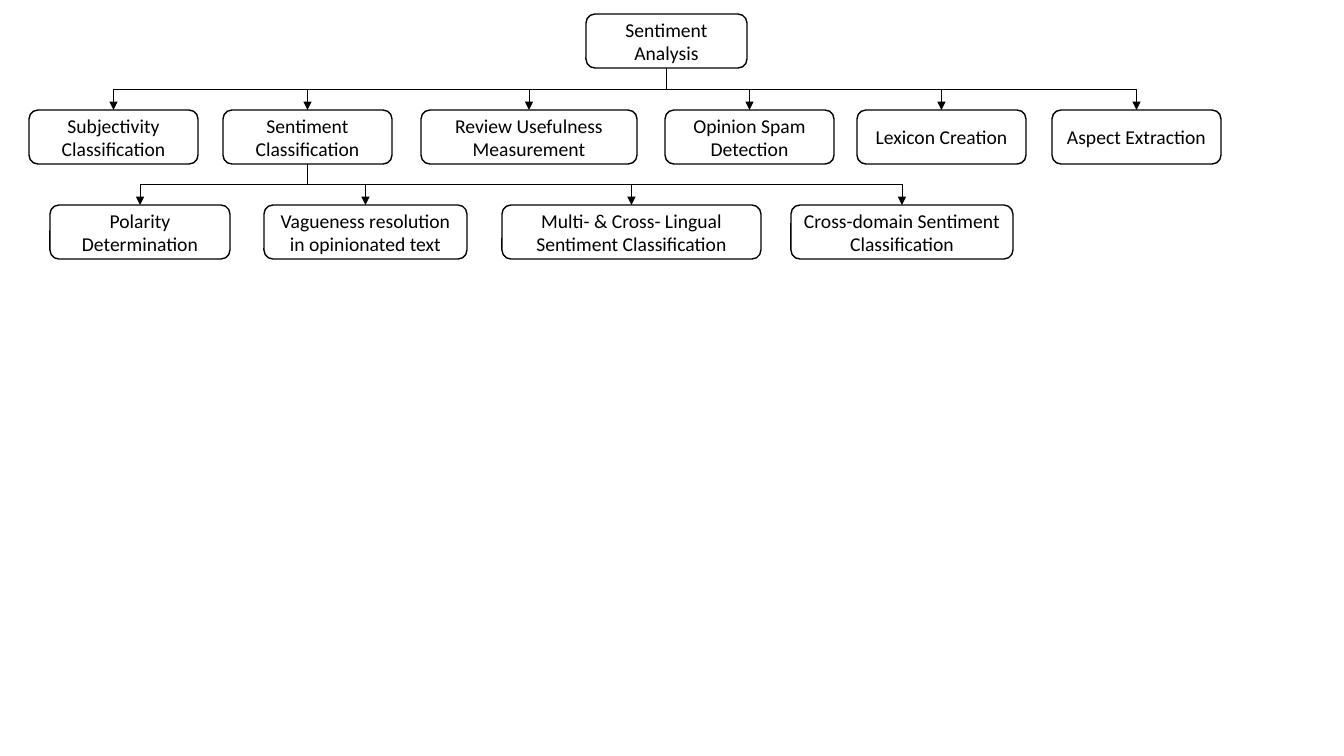
from pptx import Presentation
from pptx.dml.color import RGBColor as Rgb
from pptx.enum.shapes import MSO_CONNECTOR as Link, MSO_SHAPE as Shape
from pptx.enum.text import MSO_ANCHOR as Anchor, PP_ALIGN as Align
from pptx.oxml.ns import qn
from pptx.util import Pt
from lxml.etree import SubElement as Sub

# Each box: label, left, width
ROOT = ("Sentiment Analysis", 586, 161)
TASKS = [
    ("Subjectivity Classification", 29, 169),
    ("Sentiment Classification", 223, 169),
    ("Review Usefulness Measurement", 421, 216),
    ("Opinion Spam Detection", 665, 169),
    ("Lexicon Creation", 857, 169),
    ("Aspect Extraction", 1052, 169),
]
SUBTASKS = [
    ("Polarity Determination", 50, 180),
    ("Vagueness resolution in opinionated text", 264, 203),
    ("Multi- & Cross- Lingual Sentiment Classification", 502, 259),
    ("Cross-domain Sentiment Classification", 791, 222),
]
SPLIT = 1  # index of the task that has subtasks
TOPS = (14, 110, 205)
HIGH = 54
THEME = {"ink": Rgb(0, 0, 0), "font": "Calibri", "size": 14,
         "edge": 1, "wire": 0.5}
BOTTOM, TOP = 2, 0  # connection sites of a box
SCALE = 914400 / 100.8


def px(n):
    """Turn pixels into EMU."""
    return round(n * SCALE)


def write(frame, text, size=THEME["size"], color=THEME["ink"],
          align=Align.CENTER, anchor=Anchor.MIDDLE):
    """Put formatted text into a text frame."""
    frame.word_wrap = True
    frame.vertical_anchor = anchor
    para = frame.paragraphs[0]
    para.alignment = align
    run = para.add_run()
    run.text = text
    run.font.name = THEME["font"]
    run.font.size = Pt(size)
    run.font.color.rgb = color


def stroke(line, width):
    """Colour a line and set its width in points."""
    line.color.rgb = THEME["ink"]
    line.width = Pt(width)


def box(shapes, item, top):
    """Draw one rounded box with its label."""
    text, left, wide = item
    node = shapes.add_shape(Shape.ROUNDED_RECTANGLE,
                            px(left), px(top), px(wide), px(HIGH))
    node.shadow.inherit = False
    node.fill.background()
    stroke(node.line, THEME["edge"])
    write(node.text_frame, text)
    return node


def join(shapes, parent, child):
    """Link a parent's bottom to a child's top by a vertical elbow arrow."""
    wire = shapes.add_connector(Link.ELBOW, 0, 0, 0, 0)
    wire.begin_connect(parent, BOTTOM)
    wire.end_connect(child, TOP)
    x1 = parent.left + parent.width // 2
    x2 = child.left + child.width // 2
    y1, y2 = parent.top + parent.height, child.top
    # The elbow runs sideways by default, so its box is turned a quarter
    wire.width, wire.height = y2 - y1, abs(x2 - x1)
    wire.left = (x1 + x2 - wire.width) // 2
    wire.top = (y1 + y2 - wire.height) // 2
    right = x2 > x1
    props = wire._element.spPr
    xfrm = props.find(qn("a:xfrm"))
    xfrm.set("rot", str((270 if right else 90) * 60000))
    xfrm.set("flipH", str(int(right)))
    xfrm.set("flipV", "0")
    stroke(wire.line, THEME["wire"])
    Sub(props.find(qn("a:ln")), qn("a:tailEnd"), type="triangle")
    Sub(props, qn("a:effectLst"))


def main():
    """Build the tree of sentiment analysis tasks."""
    deck = Presentation()
    deck.slide_width, deck.slide_height = px(1344), px(756)
    shapes = deck.slides.add_slide(deck.slide_layouts[6]).shapes
    root, tasks, subs = [
        [box(shapes, item, top) for item in row]
        for row, top in zip(([ROOT], TASKS, SUBTASKS), TOPS)
    ]
    for parent, row in ((root[0], tasks), (tasks[SPLIT], subs)):
        for child in row:
            join(shapes, parent, child)
    deck.save("out.pptx")


main()
